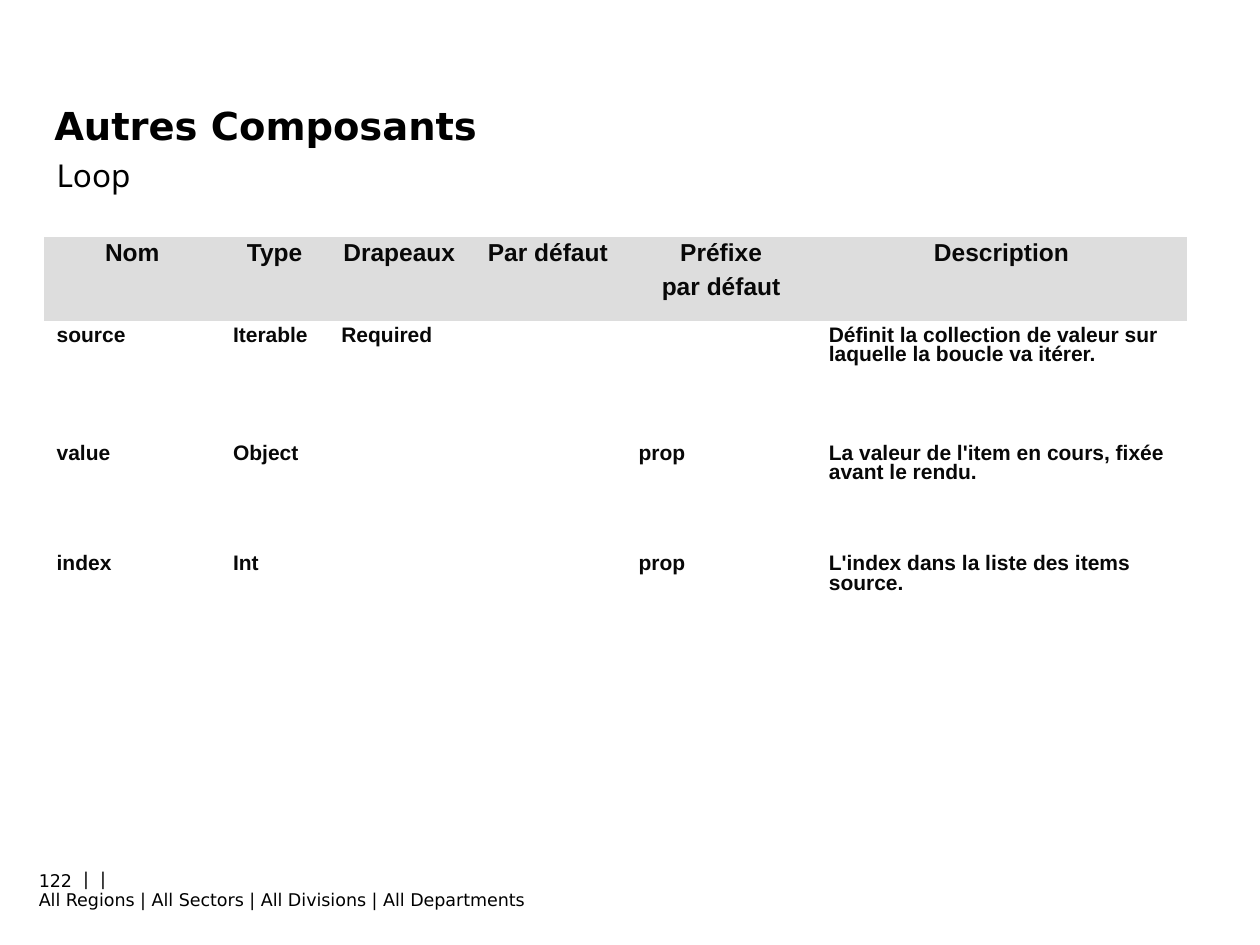
"""Build the slide describing the parameters of the Loop component."""
import dataclasses

import lxml.etree
import pptx
import pptx.dml.color
import pptx.enum.text
import pptx.oxml.ns
import pptx.util

Pt = pptx.util.Pt
ALIGN = pptx.enum.text.PP_ALIGN
ANCHOR = pptx.enum.text.MSO_ANCHOR


@dataclasses.dataclass(frozen=True)
class Theme:
    heading_font: str = "DejaVu Sans"
    subtitle_font: str = "Noto Sans"
    table_font: str = "Arial"
    black: str = "000000"
    table_ink: str = "080808"
    header_fill: str = "DDDDDD"
    title_size: float = 22
    subtitle_size: float = 18
    header_size: float = 14
    cell_size: float = 12
    footer_size: float = 10
    line_spacing: float = 0.81
    no_style: str = "{2D5ABB26-0587-4C30-8999-92F81FD0307C}"


THEME = Theme()
COLUMN_WIDTHS = [100.8, 61.9, 80.6, 89.3, 108.7, 211.7]
ROW_HEIGHTS = [48.2, 67, 63.4, 97.2]
ROWS = [
    ["Nom", "Type", "Drapeaux", "Par défaut", "Préfixe\npar défaut", "Description"],
    ["source", "Iterable", "Required", "", "",
     "Définit la collection de valeur sur laquelle la boucle va itérer."],
    ["value", "Object", "", "", "prop",
     "La valeur de l'item en cours, fixée avant le rendu."],
    ["index", "Int", "", "", "prop", "L'index dans la liste des items source."],
]


def style_font(para, name, size, color, bold=False):
    """Set the font of a whole paragraph."""
    para.font.name = name
    para.font.size = Pt(size)
    para.font.bold = bold
    para.font.color.rgb = pptx.dml.color.RGBColor.from_string(color)


def add_tab_stops(para, positions):
    """Give a paragraph left tab stops at the given positions."""
    tab_list = lxml.etree.SubElement(
        para._p.get_or_add_pPr(), pptx.oxml.ns.qn("a:tabLst"))
    for position in positions:
        lxml.etree.SubElement(tab_list, pptx.oxml.ns.qn("a:tab"),
                              pos=str(Pt(position)), algn="l")


def add_title(page, text):
    """Place and format the title placeholder."""
    title = page.shapes.title
    title.left, title.top, title.width, title.height = Pt(23.8), Pt(57.6), Pt(684), Pt(28)
    frame = title.text_frame
    frame.text = text
    frame.auto_size = pptx.enum.text.MSO_AUTO_SIZE.NONE
    frame.vertical_anchor = ANCHOR.MIDDLE
    para = frame.paragraphs[0]
    para.alignment = ALIGN.LEFT
    style_font(para, THEME.heading_font, THEME.title_size, THEME.black, True)


def add_label(page, area, text, font, size, anchor=ANCHOR.TOP, tab_stops=()):
    """Add a wrapping text box, with optional tab stops on its first line."""
    box = page.shapes.add_textbox(*map(Pt, area))
    frame = box.text_frame
    frame.word_wrap = True
    frame.vertical_anchor = anchor
    frame.text = text
    if tab_stops:
        add_tab_stops(frame.paragraphs[0], tab_stops)
    for para in frame.paragraphs:
        style_font(para, font, size, THEME.black)


def fill_cell(cell, text, is_header):
    """Write one table cell and set its fill and paragraph format."""
    if is_header:
        cell.fill.solid()
        cell.fill.fore_color.rgb = pptx.dml.color.RGBColor.from_string(THEME.header_fill)
    else:
        cell.fill.background()
    cell.text = text
    size = THEME.header_size if is_header else THEME.cell_size
    for index, para in enumerate(cell.text_frame.paragraphs):
        para.alignment = ALIGN.CENTER if is_header else ALIGN.LEFT
        para.line_spacing = THEME.line_spacing
        para.space_before = Pt(size / 4 if index else 0)
        para.space_after = Pt(size / 4)
        style_font(para, THEME.table_font, size, THEME.table_ink, True)


def add_parameter_table(page):
    """Add the table of component parameters."""
    frame = page.shapes.add_table(
        len(ROWS), len(COLUMN_WIDTHS), Pt(25.2), Pt(135.4),
        Pt(sum(COLUMN_WIDTHS)), Pt(sum(ROW_HEIGHTS)))
    table = frame.table
    table.horz_banding = False
    table._tbl.tblPr.find(pptx.oxml.ns.qn("a:tableStyleId")).text = THEME.no_style
    for column, width in zip(table.columns, COLUMN_WIDTHS):
        column.width = Pt(width)
    for index, (row, height) in enumerate(zip(table.rows, ROW_HEIGHTS)):
        row.height = Pt(height)
        for cell, text in zip(row.cells, ROWS[index]):
            fill_cell(cell, text, index == 0)


def main():
    """Build and save the deck."""
    deck = pptx.Presentation()
    deck.slide_width, deck.slide_height = Pt(720), Pt(540)
    page = deck.slides.add_slide(deck.slide_layouts.get_by_name("Title Only"))
    add_label(page, (15.1, 492.5, 453.6, 33.1),
              "\t|\t|\nAll Regions | All Sectors | All Divisions | All Departments",
              THEME.heading_font, THEME.footer_size, tab_stops=(25.4, 35.1))
    add_label(page, (15.1, 488.9, 50.4, 28.8), "122",
              THEME.heading_font, THEME.footer_size, ANCHOR.MIDDLE)
    add_title(page, "Autres Composants")
    add_label(page, (25.2, 85.7, 378, 20.9), "Loop",
              THEME.subtitle_font, THEME.subtitle_size)
    add_parameter_table(page)
    deck.save("out.pptx")


if __name__ == "__main__":
    main()
